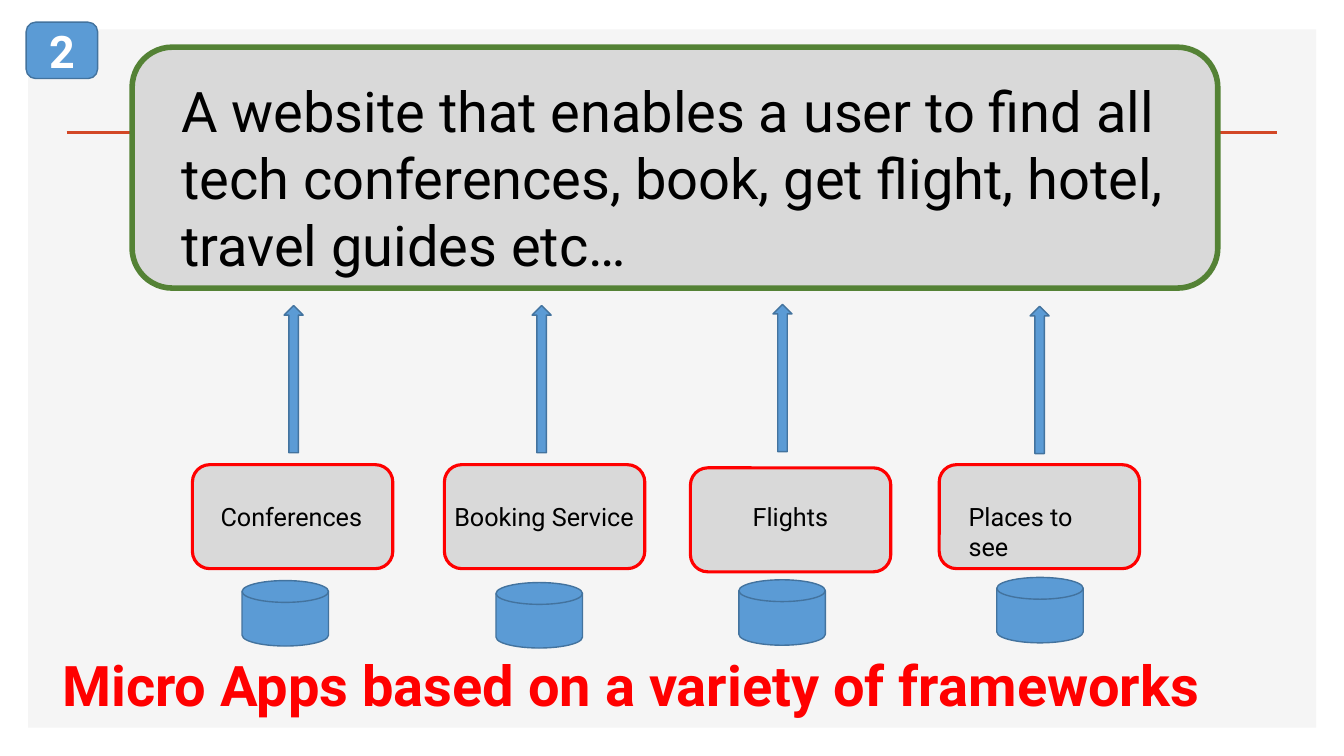
from pptx import Presentation
from pptx.dml.color import RGBColor
from pptx.enum.shapes import MSO_CONNECTOR, MSO_SHAPE
from pptx.enum.text import MSO_ANCHOR, PP_ALIGN
from pptx.oxml.ns import qn
from pptx.util import Cm, Pt
from lxml import etree

RECT = MSO_SHAPE.RECTANGLE
ROUND = MSO_SHAPE.ROUNDED_RECTANGLE
ARROW = MSO_SHAPE.UP_ARROW
DISK = MSO_SHAPE.FLOWCHART_MAGNETIC_DISK
STRAIGHT = MSO_CONNECTOR.STRAIGHT
MIDDLE, CENTER = MSO_ANCHOR.MIDDLE, PP_ALIGN.CENTER

BLUE, BLUE_EDGE = "5B9BD5", "43739E"
GREY, RED, GREEN = "D9D9D9", "FF0000", "548235"

APPS = [
    {"name": "Conferences", "left": 4.85, "top": 11.71, "label": (0.46, 4.14),
     "arrow": (2.31, 7.7), "disk": (1.25, 14.63)},
    {"name": "Booking Service", "left": 11.2, "top": 11.71, "label": (0, 5.1),
     "arrow": (2.21, 7.7), "disk": (1.3, 14.68)},
    {"name": "Flights", "left": 17.4, "top": 11.79, "label": (1.32, 2.46),
     "arrow": (2.08, 7.67), "disk": (1.22, 14.61)},
    {"name": "Places to see", "left": 23.67, "top": 11.71, "label": (0.49, 4.14),
     "arrow": (2.29, 7.72), "disk": (1.45, 14.55)},
]


def color(value):
    return RGBColor.from_string(value)


def add_block(s, kind, box, fill, edge=None, weight=1):
    sp = s.shapes.add_shape(kind, *map(Cm, box))
    sp.shadow.inherit = False
    sp.fill.solid()
    sp.fill.fore_color.rgb = color(fill)
    if edge:
        sp.line.color.rgb = color(edge)
        sp.line.width = Pt(weight)
    else:
        sp.line.fill.background()
    return sp


def write(tf, text, size, ink, bold=False):
    tf.word_wrap = True
    p = tf.paragraphs[0]
    r = p.add_run()
    r.text = text
    r.font.color.rgb = color(ink)
    for name, value in {"name": "Roboto", "size": Pt(size), "bold": bold}.items():
        setattr(r.font, name, value)
    return p


def add_text(s, box, text, size, ink="000000", bold=False):
    write(s.shapes.add_textbox(*map(Cm, box)).text_frame, text, size, ink, bold)


def add_backdrop(s, box):
    left, top, width, height = box
    add_block(s, RECT, box, "F5F5F5")
    rule_y = Cm(top + 2.59)
    rule = s.shapes.add_connector(STRAIGHT, Cm(left + 0.97), rule_y,
                                  Cm(left + width - 0.99), rule_y)
    rule.line.color.rgb = color("D24726")
    rule.line.width = Pt(2)
    etree.SubElement(rule._element.spPr, qn("a:effectLst"))


def add_website(s, box):
    left, top, width, height = box
    add_block(s, ROUND, box, GREY, GREEN, 4)
    add_text(s, (left + 0.99, top + 0.61, width - 0.41, 5.38),
             "A website that enables a user to find all tech conferences, "
             "book, get flight, hotel, travel guides etc…", 40)


def add_app(s, app):
    left = app["left"]
    add_block(s, ROUND, (left, app["top"], 5.05, 2.62), GREY, RED, 2.25)
    shift, width = app["label"]
    add_text(s, (left + shift, 12.5, width, 1.02), app["name"], 18)
    for kind, part, size in ((ARROW, "arrow", (0.48, 3.71)),
                             (DISK, "disk", (2.18, 1.65))):
        shift, top = app[part]
        add_block(s, kind, (left + shift, top, *size), BLUE, BLUE_EDGE)


def add_number(s, box, number):
    sp = add_block(s, ROUND, box, BLUE, BLUE_EDGE)
    sp.text_frame.vertical_anchor = MIDDLE
    write(sp.text_frame, number, 32, "FFFFFF", True).alignment = CENTER


def main():
    prs = Presentation()
    prs.slide_width, prs.slide_height = Cm(33.87), Cm(19.05)
    s = prs.slides.add_slide(prs.slide_layouts[6])
    add_backdrop(s, (0.71, 0.74, 32.46, 17.6))
    add_website(s, (3.33, 1.19, 27.36, 6.07))
    for app in APPS:
        add_app(s, app)
    add_text(s, (1.32, 16.28, 31.19, 1.96),
             "Micro Apps based on a variety of frameworks", 40, RED, True)
    add_number(s, (0.66, 0.56, 1.8, 1.42), "2")
    prs.save("out.pptx")


if __name__ == "__main__":
    main()
